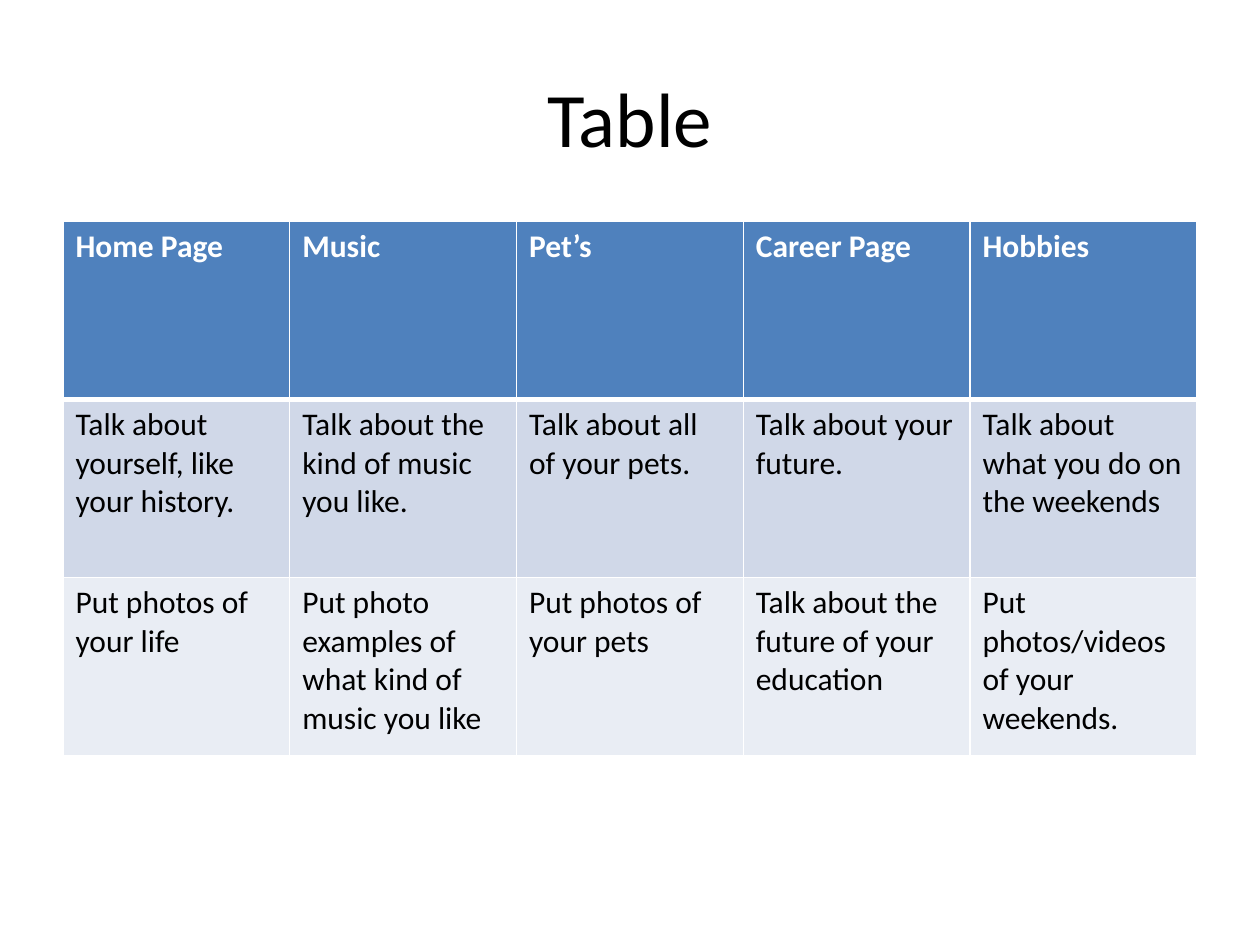
from lxml import etree
from pptx import Presentation
from pptx.dml.color import RGBColor
from pptx.enum.text import MSO_ANCHOR as ANCHOR, PP_ALIGN as ALIGN
from pptx.oxml.ns import qn
from pptx.util import Emu, Pt

PX = 914400 // 126  # EMU per pixel


def px(n):
    return Emu(n * PX)


def rgb(value):
    return RGBColor.from_string(value)


def write(tf, text, size=18, color="000000", bold=False, align=ALIGN.LEFT, font="Calibri"):
    p = tf.paragraphs[0]
    p.alignment = align
    r = p.add_run()
    r.text = text
    r.font.name, r.font.size, r.font.bold = font, Pt(size), bold
    r.font.color.rgb = rgb(color)


def set_borders(cell, color, **widths):
    """Add cell borders; they must come before the fill in tcPr."""
    tcPr = cell._tc.get_or_add_tcPr()
    for i, side in enumerate("LRTB"):
        ln = etree.Element(qn(f"a:ln{side}"), w=str(Pt(widths.get(side, 1))))
        fill = etree.SubElement(ln, qn("a:solidFill"))
        etree.SubElement(fill, qn("a:srgbClr"), val=color)
        tcPr.insert(i, ln)


class Deck:
    HEADER = "4F81BD"
    BANDS = ("D0D8E8", "E9EDF4")
    WHITE = "FFFFFF"

    def __init__(self, width, height):
        self.prs = Presentation()
        self.prs.slide_width, self.prs.slide_height = px(width), px(height)
        self.slide = self.prs.slides.add_slide(self.prs.slide_layouts[5])

    def title(self, text, x, y, w, h):
        sp = self.slide.shapes.title
        sp.left, sp.top, sp.width, sp.height = px(x), px(y), px(w), px(h)
        sp.text_frame.vertical_anchor = ANCHOR.MIDDLE
        write(sp.text_frame, text, size=44, align=ALIGN.CENTER)

    def table(self, rows, x, y, w, h):
        table = self.slide.shapes.add_table(
            len(rows), len(rows[0]), px(x), px(y), px(w), px(h)).table
        for i, texts in enumerate(rows):
            header = i == 0
            for j, text in enumerate(texts):
                cell = table.cell(i, j)
                cell.fill.solid()
                cell.fill.fore_color.rgb = rgb(
                    self.HEADER if header else self.BANDS[(i - 1) % 2])
                set_borders(cell, self.WHITE, T=3 if i == 1 else 1, B=3 if header else 1)
                write(cell.text_frame, text, bold=header,
                      color=self.WHITE if header else "000000")


deck = Deck(1260, 945)

# Title
deck.title("Table", 63, 38, 1134, 157)

# Site plan: one column per page
deck.table([
    ["Home Page", "Music", "Pet’s", "Career Page", "Hobbies"],
    ["Talk about yourself, like your history.",
     "Talk about the kind of music you like.",
     "Talk about all of your pets.",
     "Talk about your future.",
     "Talk about what you do on the weekends"],
    ["Put photos of your life",
     "Put photo examples of what kind of music you like",
     "Put photos of your pets",
     "Talk about the future of your education",
     "Put photos/videos of your weekends."],
], 63, 221, 1134, 535)

deck.prs.save("out.pptx")
